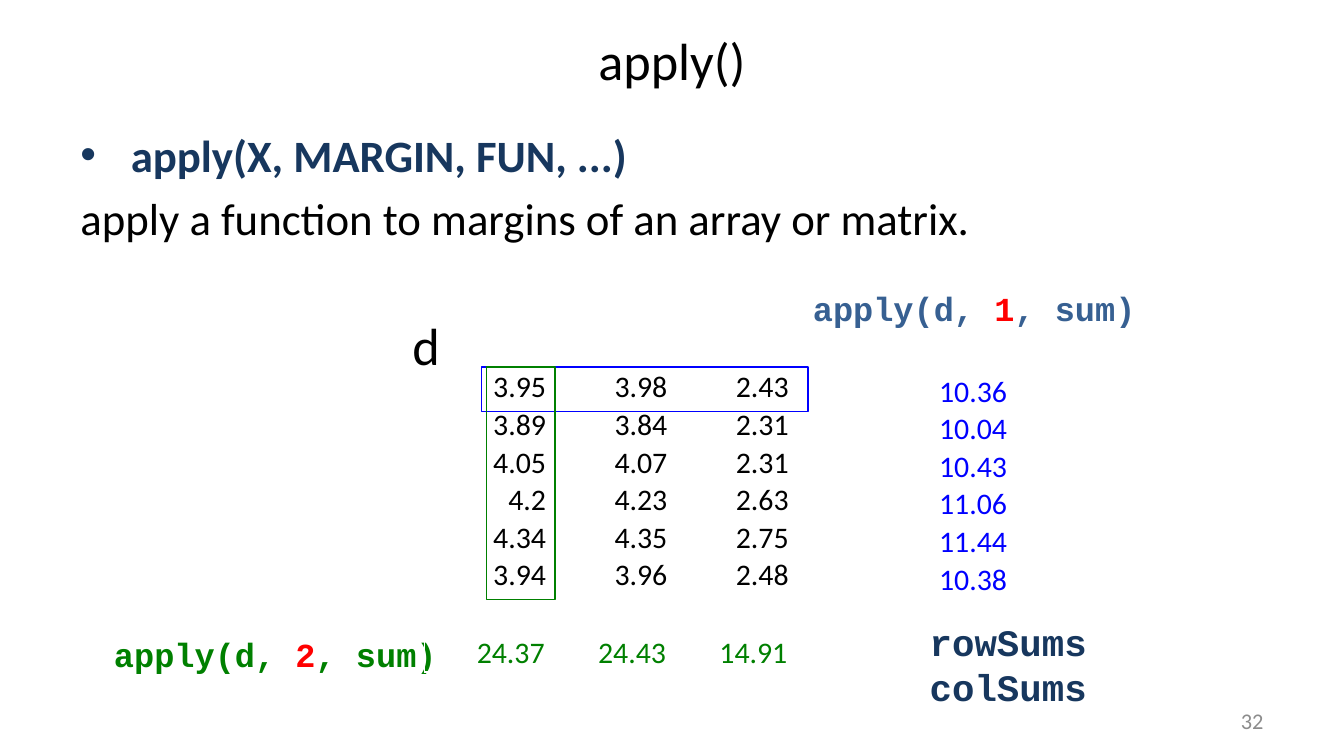
from pptx import Presentation
from pptx.dml.color import RGBColor
from pptx.enum.shapes import MSO_SHAPE
from pptx.enum.text import MSO_ANCHOR, MSO_AUTO_SIZE, PP_ALIGN
from pptx.oxml.ns import qn
from pptx.util import Pt
from lxml.etree import SubElement

BLACK, NAVY, STEEL = "000000", "17375E", "376092"
RED, GREEN, BLUE, GRAY = "FF0000", "008000", "0000FF", "8C8C8C"
SANS, MONO = "Calibri", "Courier New"
CELL_W, CELL_H = 65, 20.16
DATA = [
    ["3.95", "3.98", "2.43"],
    ["3.89", "3.84", "2.31"],
    ["4.05", "4.07", "2.31"],
    ["4.2", "4.23", "2.63"],
    ["4.34", "4.35", "2.75"],
    ["3.94", "3.96", "2.48"],
]
ROW_SUMS = [["10.36"], ["10.04"], ["10.43"], ["11.06"], ["11.44"], ["10.38"]]
COL_SUMS = [["24.37", "24.43", "14.91"]]


def hue(code):
    """Turn a hex string into a colour."""
    return RGBColor.from_string(code)


def apply(item, form):
    """Set each attribute named in a dict of format values."""
    for name, value in form.items():
        setattr(item, name, value)


def write(para, runs, size, face=SANS, bold=False):
    """Add (text, colour) runs to a paragraph."""
    for text, color in runs:
        run = para.add_run()
        run.text = text
        apply(run.font, {"size": Pt(size), "name": face, "bold": bold})
        run.font.color.rgb = hue(color)


def frame(slide, box, form):
    """Add a text box and return its text frame."""
    text = slide.shapes.add_textbox(*map(Pt, box)).text_frame
    apply(text, {"word_wrap": True} | form)
    return text


def label(slide, box, lines, size, face=MONO, bold=True):
    """Add a text box that fits its lines and does not wrap."""
    form = {"word_wrap": False, "auto_size": MSO_AUTO_SIZE.SHAPE_TO_FIT_TEXT}
    text = frame(slide, box, form)
    for i, runs in enumerate(lines):
        para = text.add_paragraph() if i else text.paragraphs[0]
        write(para, runs, size, face, bold)


def call(slide, box, margin, color):
    """Add an apply() call with its margin in red."""
    runs = [("apply(d, ", color), (margin, RED), (", sum)", color)]
    label(slide, box, [runs], 18)


def grid(slide, left, top, rows, color, height=CELL_H):
    """Add a plain table of right-aligned numbers."""
    wide, high = len(rows[0]), len(rows)
    size = left, top, wide * CELL_W, high * height
    table = slide.shapes.add_table(high, wide, *map(Pt, size)).table
    apply(table, {"first_row": False, "horz_banding": False})
    form = {
        "margin_left": Pt(0.72),
        "margin_right": Pt(0.72),
        "margin_top": Pt(0.72),
        "margin_bottom": 0,
        "vertical_anchor": MSO_ANCHOR.BOTTOM,
    }
    for col in table.columns:
        col.width = Pt(CELL_W)
    for i, row in enumerate(rows):
        table.rows[i].height = Pt(height)
        for j, value in enumerate(row):
            cell = table.cell(i, j)
            apply(cell, form)
            cell.fill.background()
            para = cell.text_frame.paragraphs[0]
            para.alignment = PP_ALIGN.RIGHT
            write(para, [(value, color)], 16)


def outline(slide, box, color):
    """Add an empty rectangle with a thin line."""
    shape = slide.shapes.add_shape(MSO_SHAPE.RECTANGLE, *map(Pt, box))
    shape.shadow.inherit = False
    shape.fill.background()
    shape.line.color.rgb = hue(color)
    shape.line.width = Pt(0.75)


def line(slide, box, text, size, color, align):
    """Add one line of text centred by height in its box."""
    para = frame(slide, box, {"vertical_anchor": MSO_ANCHOR.MIDDLE}).paragraphs[0]
    para.alignment = align
    write(para, [(text, color)], size)


def intro(slide, box):
    """Add the signature bullet and its meaning."""
    text = frame(slide, box, {})
    first, second = text.paragraphs[0], text.add_paragraph()
    props = first._p.get_or_add_pPr()
    apply_indent = {"marL": str(Pt(27)), "indent": str(Pt(-27))}
    props.attrib.update(apply_indent)
    SubElement(props, qn("a:buFont")).set("typeface", "Arial")
    SubElement(props, qn("a:buChar")).set("char", "•")
    write(first, [("apply(X, MARGIN, FUN, ...)", NAVY)], 24, bold=True)
    second.space_before = Pt(4.8)
    write(second, [("apply a function to margins of an array or matrix.", BLACK)], 24)


def matrix(slide, box):
    """Add the matrix d with its first row and column outlined."""
    x, y, w, h = box
    grid(slide, x + 14.4, y + 33, DATA, BLACK)
    label(slide, (x, y, 29.5, 41), [[("d", BLACK)]], 28, SANS, False)
    outline(slide, (x + 44, y + 32.4, w - 44, 23.8), BLUE)
    outline(slide, (x + 46.8, y + 32.4, 36.7, h - 32.4), GREEN)


def by_row(slide, box):
    """Add the row call, the row sums and the shortcut names."""
    x, y, w, h = box
    call(slide, (x, y, w, 29), "1", STEEL)
    grid(slide, x + 46.8, y + 49, ROW_SUMS, BLUE)
    names = [[("rowSums", NAVY)], [("colSums", NAVY)]]
    label(slide, (x + 62.6, y + h - 55.4, 99.4, 55.4), names, 20)


def by_col(slide, box):
    """Add the column call and the column sums."""
    x, y, w, h = box
    call(slide, (x, y, 189.4, h), "2", GREEN)
    grid(slide, x + w - 3 * CELL_W, y + 1.4, COL_SUMS, GREEN, 22.3)


def main():
    """Build the slide and save it."""
    deck = Presentation()
    apply(deck, {"slide_width": Pt(720), "slide_height": Pt(405)})
    slide = deck.slides.add_slide(deck.slide_layouts[6])
    line(slide, (36, 9.4, 648, 45.4), "apply()", 28, BLACK, PP_ALIGN.CENTER)
    intro(slide, (36, 64.8, 648, 79.2))
    matrix(slide, (213.8, 164.2, 219, 157))
    by_row(slide, (428.4, 150.5, 189.4, 233.3))
    by_col(slide, (54, 336.2, 368.5, 29))
    line(slide, (516.2, 375.1, 167.8, 21.6), "32", 12, GRAY, PP_ALIGN.RIGHT)
    deck.save("out.pptx")


if __name__ == "__main__":
    main()
